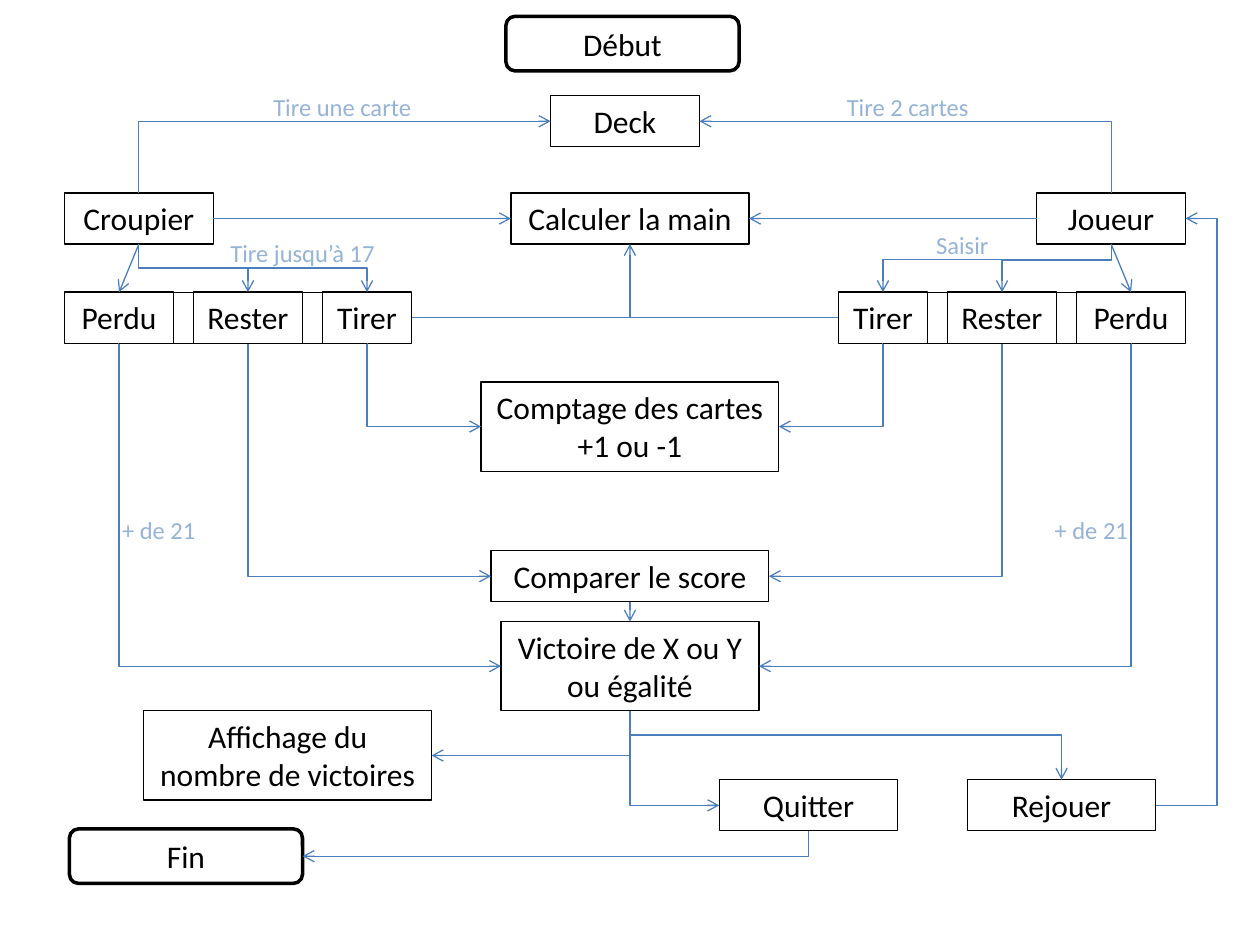
from dataclasses import dataclass
from enum import IntEnum
from typing import Optional

from lxml.etree import SubElement
from pptx import Presentation
from pptx.dml.color import RGBColor
from pptx.enum.shapes import MSO_CONNECTOR, MSO_SHAPE
from pptx.enum.text import MSO_ANCHOR, PP_ALIGN
from pptx.oxml.ns import qn
from pptx.util import Cm, Pt

COLOURS = {"ink": "000000", "paper": "FFFFFF", "flow": "4B7EBC", "note": "95B3D7"}
FONT = "Calibri"
ONE_LINE, TWO_LINES = 1.03, 1.8
AXIS = 12.7  # centre of the middle column, cm
HANDS_TOP, CHOICES_TOP, ENDING_TOP = 3.89, 5.89, 15.72


class Side(IntEnum):
    """Connection sites of a rectangle."""
    TOP = 0
    LEFT = 1
    BOTTOM = 2
    RIGHT = 3


@dataclass
class Step:
    text: str
    left: float
    top: float
    width: float
    height: float = ONE_LINE
    terminal: bool = False


@dataclass
class Link:
    start: str
    leaves: Side
    end: str
    enters: Side
    elbow: bool = True
    bend: Optional[float] = None  # place of the middle leg, for two-corner elbows
    arrow: bool = True
    colour: str = "flow"


@dataclass
class Note:
    text: str
    left: float
    top: float
    width: float


def middle(text: str, top: float, width: float, height: float = ONE_LINE) -> Step:
    """A step centred on the middle column."""
    return Step(text, AXIS - width / 2, top, width, height)


STEPS = {
    "calculer": middle("Calculer la main", HANDS_TOP, 4.8),
    "comparer": middle("Comparer le score", 11.1, 5.6),
    "comptage": middle("Comptage des cartes\n+1 ou -1", 7.7, 6, TWO_LINES),
    "victoire": middle("Victoire de X ou Y ou égalité", 12.53, 5.2, TWO_LINES),
    "deck": Step("Deck", 11.1, 1.93, 3),
    "croupier": Step("Croupier", 1.3, HANDS_TOP, 3),
    "joueur": Step("Joueur", 20.9, HANDS_TOP, 3),
    "croupier perdu": Step("Perdu", 1.3, CHOICES_TOP, 2.2),
    "croupier rester": Step("Rester", 3.9, CHOICES_TOP, 2.2),
    "croupier tirer": Step("Tirer", 6.5, CHOICES_TOP, 1.8),
    "joueur tirer": Step("Tirer", 16.9, CHOICES_TOP, 1.8),
    "joueur rester": Step("Rester", 19.1, CHOICES_TOP, 2.2),
    "joueur perdu": Step("Perdu", 21.7, CHOICES_TOP, 2.2),
    "affichage": Step("Affichage du nombre de victoires", 2.9, 14.33, 5.8, TWO_LINES),
    "quitter": Step("Quitter", 14.5, ENDING_TOP, 3.6),
    "rejouer": Step("Rejouer", 19.5, ENDING_TOP, 3.8),
    "début": Step("Début", 10.2, 0.33, 4.7, 1.1, terminal=True),
    "fin": Step("Fin", 1.4, 16.71, 4.7, 1.1, terminal=True),
}


def hand_links(hand: str, inner: Side, outer: Side,
               rester_bend: float, tirer_bend: float) -> list[Link]:
    """Links of one player; inner faces the middle column."""
    perdu, rester, tirer = (f"{hand} {choice}" for choice in ("perdu", "rester", "tirer"))
    return [
        Link(hand, Side.TOP, "deck", outer),
        Link(hand, inner, "calculer", outer, elbow=False),
        Link(hand, Side.BOTTOM, perdu, Side.TOP, elbow=False),
        Link(hand, Side.BOTTOM, rester, Side.TOP, bend=rester_bend),
        Link(hand, Side.BOTTOM, tirer, Side.TOP, bend=tirer_bend),
        Link(perdu, Side.BOTTOM, "victoire", outer),
        Link(rester, Side.BOTTOM, "comparer", outer),
        Link(tirer, Side.BOTTOM, "comptage", outer),
        *(Link(perdu, edge, tirer, edge, elbow=False, arrow=False, colour="ink")
          for edge in (Side.TOP, Side.BOTTOM)),
    ]


LINKS = [
    *hand_links("croupier", Side.RIGHT, Side.LEFT, 0.5, 0.5),
    *hand_links("joueur", Side.LEFT, Side.RIGHT, 0.35, 0.32),
    Link("croupier tirer", Side.RIGHT, "joueur tirer", Side.LEFT, elbow=False, arrow=False),
    Link("joueur tirer", Side.LEFT, "calculer", Side.BOTTOM),
    Link("comparer", Side.BOTTOM, "victoire", Side.TOP, elbow=False),
    Link("victoire", Side.BOTTOM, "affichage", Side.RIGHT),
    Link("victoire", Side.BOTTOM, "rejouer", Side.TOP, bend=0.35),
    Link("victoire", Side.BOTTOM, "quitter", Side.LEFT),
    Link("quitter", Side.BOTTOM, "fin", Side.RIGHT),
    Link("rejouer", Side.RIGHT, "joueur", Side.RIGHT, bend=2.06),
]

NOTES = [
    Note("Tire une carte", 4.7, 1.73, 4.4),
    Note("Tire 2 cartes", 16.1, 1.73, 4.4),
    Note("Tire jusqu’à 17", 3.9, 4.67, 4.4),
    Note("Saisir", 17.9, 4.52, 3),
    Note("+ de 21", 1.7, 10.26, 3),
    Note("+ de 21", 20.5, 10.26, 3),
]


def colour_of(name: str) -> RGBColor:
    return RGBColor.from_string(COLOURS[name])


def write(frame, text: str, size: int, colour: str) -> None:
    frame.word_wrap = True
    frame.text = text
    for paragraph in frame.paragraphs:
        paragraph.alignment = PP_ALIGN.CENTER
        paragraph.font.name = FONT
        paragraph.font.size = Pt(size)
        paragraph.font.color.rgb = colour_of(colour)


def draw_step(slide, step: Step):
    preset = MSO_SHAPE.ROUNDED_RECTANGLE if step.terminal else MSO_SHAPE.RECTANGLE
    box = slide.shapes.add_shape(preset, Cm(step.left), Cm(step.top),
                                 Cm(step.width), Cm(step.height))
    box.shadow.inherit = False
    box.line.color.rgb = colour_of("ink")
    box.line.width = Pt(2 if step.terminal else 0.75)
    if step.terminal:
        box.fill.solid()
        box.fill.fore_color.rgb = colour_of("paper")
    else:
        box.fill.background()
    box.text_frame.vertical_anchor = MSO_ANCHOR.MIDDLE if step.terminal else MSO_ANCHOR.TOP
    write(box.text_frame, step.text, 18, "ink")
    return box


def turn_vertical(connector) -> None:
    """Rotate an elbow so that its first leg runs up or down."""
    dx = connector.end_x - connector.begin_x
    dy = connector.end_y - connector.begin_y
    centre_x = (connector.begin_x + connector.end_x) // 2
    centre_y = (connector.begin_y + connector.end_y) // 2
    connector.width, connector.height = abs(dy), abs(dx)
    connector.left = centre_x - abs(dy) // 2
    connector.top = centre_y - abs(dx) // 2
    xfrm = connector._element.spPr.find(qn("a:xfrm"))
    quarter_turns = 1 if (dx > 0) != (dy > 0) else 3
    xfrm.set("rot", str(quarter_turns * 90 * 60000))
    xfrm.set("flipH", str(int(dx > 0)))
    xfrm.set("flipV", str(int(dy < 0)))


def draw_link(slide, link: Link, boxes: dict) -> None:
    kind = MSO_CONNECTOR.ELBOW if link.elbow else MSO_CONNECTOR.STRAIGHT
    connector = slide.shapes.add_connector(kind, 0, 0, 0, 0)
    connector.begin_connect(boxes[link.start], int(link.leaves))
    connector.end_connect(boxes[link.end], int(link.enters))
    connector.line.color.rgb = colour_of(link.colour)
    connector.line.width = Pt(0.75)
    properties = connector._element.spPr
    if link.arrow:
        SubElement(properties.find(qn("a:ln")), qn("a:tailEnd"), type="arrow")
    SubElement(properties, qn("a:effectLst"))
    if not link.elbow:
        return
    if link.leaves in (Side.TOP, Side.BOTTOM):
        turn_vertical(connector)
    geometry = properties.find(qn("a:prstGeom"))
    if link.bend is None:
        geometry.set("prst", "bentConnector2")
    else:
        SubElement(geometry.find(qn("a:avLst")), qn("a:gd"), name="adj1",
                   fmla=f"val {round(link.bend * 100000)}")


def draw_note(slide, note: Note) -> None:
    label = slide.shapes.add_textbox(Cm(note.left), Cm(note.top), Cm(note.width), Cm(0.86))
    write(label.text_frame, note.text, 14, "note")


def main() -> None:
    presentation = Presentation()
    presentation.slide_width, presentation.slide_height = Cm(25.4), Cm(19.05)
    slide = presentation.slides.add_slide(presentation.slide_layouts[6])
    boxes = {key: draw_step(slide, step) for key, step in STEPS.items()}
    for link in LINKS:
        draw_link(slide, link, boxes)
    for note in NOTES:
        draw_note(slide, note)
    presentation.save("out.pptx")


if __name__ == "__main__":
    main()
